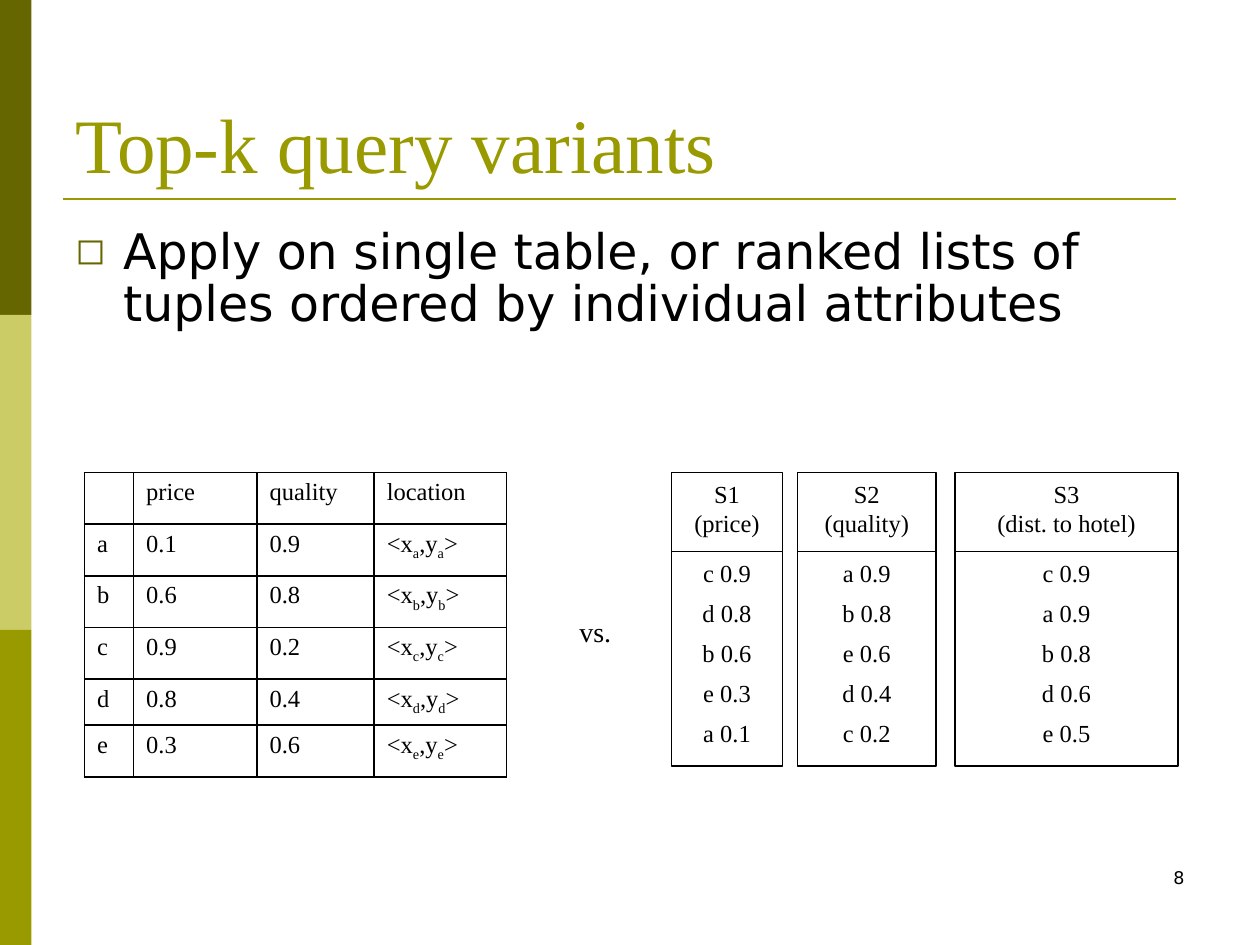
from lxml.etree import SubElement
from pptx import Presentation
from pptx.dml.color import RGBColor
from pptx.enum.shapes import MSO_CONNECTOR, MSO_SHAPE
from pptx.enum.text import MSO_ANCHOR, PP_ALIGN
from pptx.oxml.ns import qn
from pptx.util import Inches, Pt

COLORS = {"dark": "666600", "light": "CCCC66", "olive": "999900", "ink": "000000"}
SERIF, SANS = "Times New Roman", "DejaVu Sans"
TOP = 3.75
HEADER_HEIGHT, LIST_HEIGHT = 0.63, 1.7
COLUMN_WIDTHS = [0.39, 0.98, 0.93, 1.05]
ROW_HEIGHTS = [0.41, 0.41, 0.41, 0.41, 0.36, 0.41]
HOTELS = [("a", "0.1", "0.9"), ("b", "0.6", "0.8"), ("c", "0.9", "0.2"),
          ("d", "0.8", "0.4"), ("e", "0.3", "0.6")]
RANKED_LISTS = [
    (5.33, 0.88, "S1\n(price)", ["c 0.9", "d 0.8", "b 0.6", "e 0.3", "a 0.1"]),
    (6.33, 1.1, "S2\n(quality)", ["a 0.9", "b 0.8", "e 0.6", "d 0.4", "c 0.2"]),
    (7.58, 1.77, "S3\n(dist. to hotel)", ["c 0.9", "a 0.9", "b 0.8", "d 0.6", "e 0.5"]),
]


def color(name):
    """Return the named colour."""
    return RGBColor.from_string(COLORS[name])


def style_runs(para, size, font=SERIF, ink="ink"):
    """Give every run of a paragraph the same font."""
    for span in para.runs:
        span.font.size = Pt(size)
        span.font.name = font
        span.font.color.rgb = color(ink)


def add_text(page, at, text, size, font=SERIF, ink="ink", wrap=True):
    """Add a text box with one paragraph and return it."""
    box = page.shapes.add_textbox(*map(Inches, at))
    box.text_frame.word_wrap = wrap
    box.text_frame.text = text
    style_runs(box.text_frame.paragraphs[0], size, font, ink)
    return box


def add_bullet(para, symbol, indent):
    """Hang a small coloured bullet in front of a paragraph."""
    props = para._p.get_or_add_pPr()
    props.set("marL", str(Inches(indent)))
    props.set("indent", str(-Inches(indent)))
    tint = SubElement(props, qn("a:buClr"))
    SubElement(tint, qn("a:srgbClr"), val=COLORS["dark"])
    SubElement(props, qn("a:buSzPct"), val="75000")
    SubElement(props, qn("a:buFont"), typeface=SANS)
    SubElement(props, qn("a:buChar"), char=symbol)


def add_decoration(page):
    """Draw the side bands and the rule under the title."""
    for index, name in enumerate(("dark", "light", "olive")):
        band = page.shapes.add_shape(MSO_SHAPE.RECTANGLE, 0, Inches(2.5 * index),
                                     Inches(0.25), Inches(2.5))
        band.shadow.inherit = False
        band.fill.solid()
        band.fill.fore_color.rgb = color(name)
        band.line.fill.background()
    rule = page.shapes.add_connector(MSO_CONNECTOR.STRAIGHT, Inches(0.5), Inches(1.58),
                                     Inches(9.33), Inches(1.58))
    rule.line.color.rgb = color("olive")
    rule.line.width = Pt(1.5)
    SubElement(rule._element.spPr, qn("a:effectLst"))


def add_borders(cell):
    """Draw a thin line on all four sides of a cell."""
    props = cell._tc.get_or_add_tcPr()
    for index, side in enumerate(("a:lnL", "a:lnR", "a:lnT", "a:lnB")):
        line = SubElement(props, qn(side), w=str(Pt(1)))
        fill = SubElement(line, qn("a:solidFill"))
        SubElement(fill, qn("a:srgbClr"), val=COLORS["ink"])
        props.insert(index, line)


def write_location(para, hotel):
    """Write a coordinate pair with the hotel as subscript."""
    for text in ("<x", hotel, ",y", hotel, ">"):
        span = para.add_run()
        span.text = text
        if text == hotel:
            span.font._element.set("baseline", "-25000")


def add_hotel_table(page):
    """Add the single table of hotels."""
    frame = page.shapes.add_table(len(ROW_HEIGHTS), len(COLUMN_WIDTHS), Inches(0.67),
                                  Inches(TOP), Inches(sum(COLUMN_WIDTHS)),
                                  Inches(sum(ROW_HEIGHTS)))
    table = frame.table
    table.first_row = table.horz_banding = False
    for column, width in zip(table.columns, COLUMN_WIDTHS):
        column.width = Inches(width)
    for row, height in zip(table.rows, ROW_HEIGHTS):
        row.height = Inches(height)
    rows = [("", "price", "quality", "location")] + HOTELS
    for row, values in zip(table.rows, rows):
        for cell, value in zip(row.cells, values):
            cell.text_frame.text = value
    for row, hotel in zip(list(table.rows)[1:], HOTELS):
        write_location(row.cells[3].text_frame.paragraphs[0], hotel[0])
    for cell in table.iter_cells():
        cell.fill.background()
        add_borders(cell)
        style_runs(cell.text_frame.paragraphs[0], 14)


def add_list_box(group, at, lines):
    """Add an outlined box with centred lines."""
    box = group.shapes.add_shape(MSO_SHAPE.RECTANGLE, *map(Inches, at))
    box.shadow.inherit = False
    box.fill.background()
    box.line.color.rgb = color("ink")
    box.line.width = Pt(0.75)
    frame = box.text_frame
    frame.word_wrap = True
    frame.vertical_anchor = MSO_ANCHOR.TOP
    for index, line in enumerate(lines):
        para = frame.add_paragraph() if index else frame.paragraphs[0]
        para.text = line
        para.alignment = PP_ALIGN.CENTER
        para.space_before = Pt(6)
        style_runs(para, 14)


def add_ranked_list(page, left, width, heading, entries):
    """Add a ranked list with its heading as one group."""
    group = page.shapes.add_group_shape()
    add_list_box(group, (left, TOP + HEADER_HEIGHT, width, LIST_HEIGHT), entries)
    add_list_box(group, (left, TOP, width, HEADER_HEIGHT), [heading])


def main():
    """Build the slide and save it."""
    deck = Presentation()
    deck.slide_width, deck.slide_height = Inches(10), Inches(7.5)
    page = deck.slides.add_slide(deck.slide_layouts[6])
    add_decoration(page)
    title = add_text(page, (0.5, 0.3, 9, 1.25), "Top-k query variants", 44, ink="olive")
    title.text_frame.vertical_anchor = MSO_ANCHOR.BOTTOM
    body = add_text(page, (0.5, 1.75, 9, 5.33),
                    "Apply on single table, or ranked lists of tuples ordered by "
                    "individual attributes", 28, SANS)
    statement = body.text_frame.paragraphs[0]
    statement.line_spacing = 0.9
    add_bullet(statement, "◻", 0.38)
    add_hotel_table(page)
    add_text(page, (4.5, 4.83, 0.6, 0.4), "vs.", 16, wrap=False)
    number = add_text(page, (7.17, 6.83, 2.33, 0.5), "8", 10, SANS)
    number.text_frame.paragraphs[0].alignment = PP_ALIGN.RIGHT
    for ranked_list in RANKED_LISTS:
        add_ranked_list(page, *ranked_list)
    deck.save("out.pptx")


if __name__ == "__main__":
    main()
